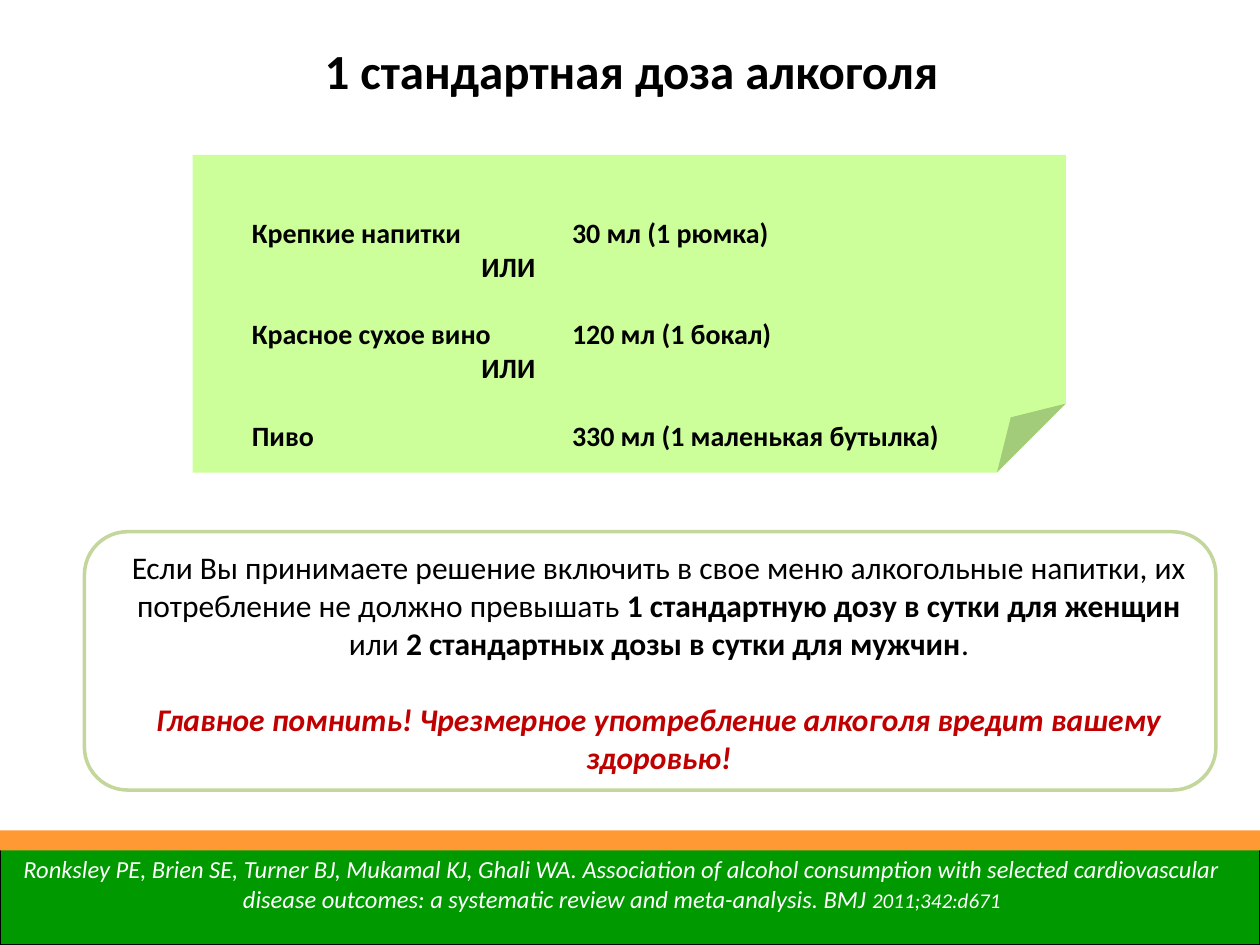
from lxml import etree
from pptx import Presentation
from pptx.dml.color import RGBColor
from pptx.enum.shapes import MSO_SHAPE as Shape
from pptx.enum.text import MSO_ANCHOR as Anchor, PP_ALIGN as Align
from pptx.oxml.ns import qn
from pptx.util import Inches, Pt

BLACK = RGBColor(0x00, 0x00, 0x00)
WHITE = RGBColor(0xFF, 0xFF, 0xFF)
RED = RGBColor(0xC0, 0x00, 0x00)
ORANGE = RGBColor(0xFF, 0x99, 0x33)
GREEN = RGBColor(0x00, 0x99, 0x00)
PALE_GREEN = RGBColor(0xC3, 0xD6, 0x9B)
NOTE_GREEN = RGBColor(0xCC, 0xFF, 0x99)


def add_run(p, text, size=18, color=BLACK, bold=False, italic=False):
    r = p.add_run()
    r.text = text
    r.font.name = "Calibri"
    r.font.size = Pt(size)
    r.font.bold = bold
    r.font.italic = italic
    r.font.color.rgb = color
    return r


class SlideBuilder:
    def __init__(self, slide):
        self.s = slide

    def shape(self, kind, x, y, w, h, fill, line=None, width=1):
        sp = self.s.shapes.add_shape(kind, Inches(x), Inches(y), Inches(w), Inches(h))
        sp.shadow.inherit = False
        sp.fill.solid()
        sp.fill.fore_color.rgb = fill
        if line is None:
            sp.line.fill.background()
        else:
            sp.line.color.rgb = line
            sp.line.width = Pt(width)
        return sp

    def text_box(self, x, y, w, h, left=0.1, top=0.05, anchor=Anchor.TOP):
        tf = self.s.shapes.add_textbox(Inches(x), Inches(y), Inches(w), Inches(h)).text_frame
        tf.word_wrap = True
        tf.margin_left, tf.margin_top = Inches(left), Inches(top)
        tf.vertical_anchor = anchor
        return tf

    def paragraph(self, tf, runs, align=Align.CENTER, before=0, after=0, tab=None):
        """Fill the first paragraph or append one; runs are (text, format) pairs."""
        p = tf.paragraphs[0]
        if p.runs:
            p = tf.add_paragraph()
        p.alignment = align
        p.space_before, p.space_after = Pt(before), Pt(after)
        if tab is not None:
            tabs = etree.SubElement(p._p.get_or_add_pPr(), qn("a:tabLst"))
            etree.SubElement(tabs, qn("a:tab"), pos=str(Inches(tab)), algn="l")
        for text, fmt in runs:
            add_run(p, text, **fmt)
        return p


def main():
    prs = Presentation()
    prs.slide_width, prs.slide_height = Inches(10), Inches(7.5)
    b = SlideBuilder(prs.slides.add_slide(prs.slide_layouts[6]))

    # Advice frame
    b.shape(Shape.ROUNDED_RECTANGLE, 0.67, 4.22, 8.98, 2.05, WHITE, PALE_GREEN, 2)
    tf = b.text_box(0.9, 4.3, 8.66, 1.9)
    bold = {"bold": True}
    b.paragraph(tf, [
        ("Если Вы принимаете решение включить в свое меню алкогольные напитки, "
         "их потребление не должно превышать ", {}),
        ("1 стандартную дозу в сутки для женщин ", bold),
        ("или ", {}),
        ("2 стандартных дозы в сутки для мужчин", bold),
        (".", {}),
    ])
    warning = "Главное помнить! Чрезмерное употребление алкоголя вредит вашему здоровью!"
    b.paragraph(tf, [(warning, {"color": RED, "bold": True, "italic": True})], before=22)

    # Note with the standard doses; the library lists no adjustment for its fold
    sp = b.shape(Shape.FOLDED_CORNER, 1.53, 1.23, 6.93, 2.52, NOTE_GREEN)
    geom = sp._element.spPr.find(qn("a:prstGeom"))
    etree.SubElement(geom.find(qn("a:avLst")), qn("a:gd"), name="adj", fmla="val 21700")
    tf = b.text_box(1.3, 1.39, 6.83, 2.5, left=0.7, top=0.32)
    doses = [
        ("Крепкие напитки", "30 мл (1 рюмка)"),
        ("Красное сухое вино", "120 мл (1 бокал)"),
        ("Пиво", "330 мл (1 маленькая бутылка)"),
    ]
    note = {"size": 16, "bold": True}
    for i, (drink, dose) in enumerate(doses):
        if i:
            b.paragraph(tf, [("\tИЛИ", note)], Align.LEFT, after=19.5, tab=1.82)
        b.paragraph(tf, [(f"{drink}\t{dose}", note)], Align.LEFT, tab=2.54)

    # Title
    tf = b.text_box(0.4, 0.27, 8.22, 1.04, left=1.1)
    b.paragraph(tf, [("1 стандартная доза алкоголя", {"size": 28, "bold": True})])

    # Footer with the citation
    b.shape(Shape.RECTANGLE, 0, 6.74, 10, 0.76, GREEN, BLACK, 0.75)
    b.shape(Shape.RECTANGLE, 0, 6.59, 10, 0.16, ORANGE)
    tf = b.text_box(0.07, 6.73, 9.73, 0.57, anchor=Anchor.MIDDLE)
    cite = {"color": WHITE, "italic": True}
    b.paragraph(tf, [
        ("Ronksley PE, Brien SE, Turner BJ, Mukamal KJ, Ghali WA. Association of alcohol "
         "consumption with selected cardiovascular disease outcomes: a systematic review "
         "and meta-analysis. BMJ ", {"size": 14, **cite}),
        ("2011;342:d671", {"size": 12, **cite}),
    ])

    prs.save("out.pptx")


if __name__ == "__main__":
    main()
